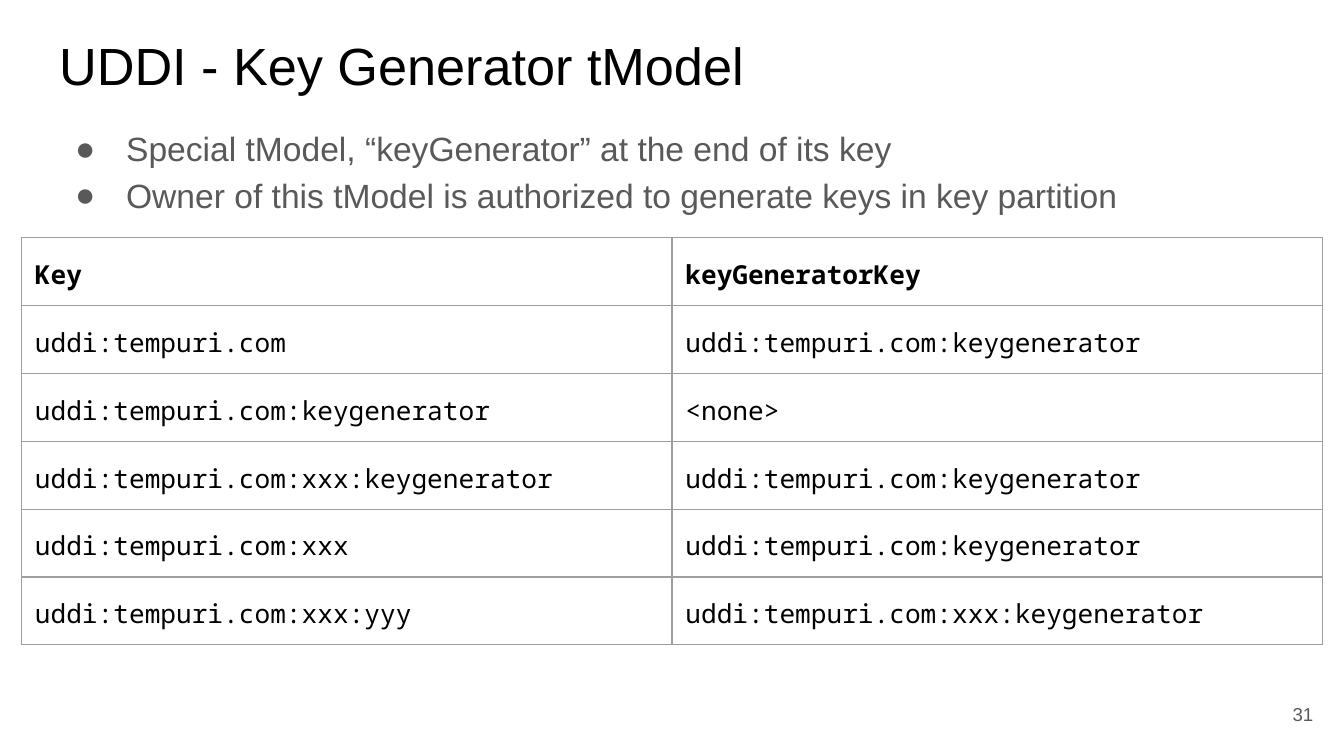
from dataclasses import dataclass

from lxml import etree
from pptx import Presentation
from pptx.dml.color import RGBColor
from pptx.enum.text import MSO_ANCHOR, MSO_AUTO_SIZE, PP_ALIGN
from pptx.oxml.ns import qn
from pptx.util import Inches, Pt

TOP, MIDDLE = MSO_ANCHOR.TOP, MSO_ANCHOR.MIDDLE
LEFT, RIGHT = PP_ALIGN.LEFT, PP_ALIGN.RIGHT
NO_FIT = MSO_AUTO_SIZE.NONE
TITLE_ONLY = 5


@dataclass(frozen=True)
class Theme:
    """Colours, fonts, type sizes and spacing of the deck."""
    background: str = "FFFFFF"
    ink: str = "000000"
    muted: str = "595959"
    border: str = "9E9E9E"
    sans: str = "Arial"
    mono: str = "Noto Sans Mono"
    title_size: int = 28
    body_size: int = 18
    table_size: int = 14
    number_size: int = 10
    border_width: float = 0.75
    line_spacing: float = 1.15
    inset: float = 0.1


THEME = Theme()
BULLETS = [
    "Special tModel, “keyGenerator” at the end of its key",
    "Owner of this tModel is authorized to generate keys in key partition",
]
KEY_ROWS = [
    ("Key", "keyGeneratorKey"),
    ("uddi:tempuri.com", "uddi:tempuri.com:keygenerator"),
    ("uddi:tempuri.com:keygenerator", "<none>"),
    ("uddi:tempuri.com:xxx:keygenerator", "uddi:tempuri.com:keygenerator"),
    ("uddi:tempuri.com:xxx", "uddi:tempuri.com:keygenerator"),
    ("uddi:tempuri.com:xxx:yyy", "uddi:tempuri.com:xxx:keygenerator"),
]


def write(para, text, *, size, color, font=THEME.sans, bold=False,
          align=LEFT, spacing=None, after=None):
    """Put one formatted span of text into a paragraph."""
    para.alignment = align
    if spacing is not None:
        para.line_spacing = spacing
    if after is not None:
        para.space_after = Pt(after)
    span = para.add_run()
    span.text = text
    span.font.name = font
    span.font.size = Pt(size)
    span.font.bold = bold
    span.font.color.rgb = RGBColor.from_string(color)


def set_frame(frame, anchor=TOP):
    """Give a text frame the common insets, wrapping and anchor."""
    frame.word_wrap = True
    frame.auto_size = NO_FIT
    frame.vertical_anchor = anchor
    frame.margin_left = frame.margin_right = Inches(THEME.inset)
    frame.margin_top = frame.margin_bottom = Inches(THEME.inset)


def add_bullet(para, color, indent=0.5, hanging=0.38):
    """Give a paragraph a round bullet with a hanging indent."""
    properties = para._p.get_or_add_pPr()
    properties.set("marL", str(Inches(indent)))
    properties.set("indent", str(-Inches(hanging)))
    bullet_color = etree.SubElement(properties, qn("a:buClr"))
    etree.SubElement(bullet_color, qn("a:srgbClr"), val=color)
    etree.SubElement(properties, qn("a:buFont"), typeface=THEME.sans)
    etree.SubElement(properties, qn("a:buChar"), char="●")


def set_borders(cell):
    """Draw a thin line on all four sides of a table cell."""
    properties = cell._tc.get_or_add_tcPr()
    for index, side in enumerate(("lnL", "lnR", "lnT", "lnB")):
        line = etree.Element(qn(f"a:{side}"), w=str(Pt(THEME.border_width)))
        fill = etree.SubElement(line, qn("a:solidFill"))
        etree.SubElement(fill, qn("a:srgbClr"), val=THEME.border)
        properties.insert(index, line)


def place_title(page, text, left, top, width, height):
    """Move the title placeholder into its box and fill it."""
    box = page.shapes.title
    box.left, box.top = Inches(left), Inches(top)
    box.width, box.height = Inches(width), Inches(height)
    set_frame(box.text_frame)
    write(box.text_frame.paragraphs[0], text,
          size=THEME.title_size, color=THEME.ink)


def place_bullets(page, items, left, top, width, height):
    """Write a bulleted list into a box."""
    box = page.shapes.add_textbox(
        Inches(left), Inches(top), Inches(width), Inches(height))
    frame = box.text_frame
    set_frame(frame)
    for index, item in enumerate(items):
        para = frame.add_paragraph() if index else frame.paragraphs[0]
        write(para, item, size=THEME.body_size, color=THEME.muted,
              spacing=THEME.line_spacing)
        add_bullet(para, THEME.muted)


def place_key_table(page, rows, left, top, width, row_height):
    """Build the bordered key table with a bold heading row."""
    table = page.shapes.add_table(
        len(rows), len(rows[0]), Inches(left), Inches(top),
        Inches(width), Inches(row_height * len(rows))).table
    table.horz_banding = False
    for row_index, values in enumerate(rows):
        for column_index, value in enumerate(values):
            cell = table.cell(row_index, column_index)
            cell.margin_left = cell.margin_right = Inches(THEME.inset)
            cell.margin_top = cell.margin_bottom = Inches(THEME.inset)
            cell.vertical_anchor = TOP
            cell.fill.background()
            set_borders(cell)
            write(cell.text_frame.paragraphs[0], value,
                  size=THEME.table_size, color=THEME.ink, font=THEME.mono,
                  bold=row_index == 0, spacing=THEME.line_spacing, after=6)


def place_page_number(page, number, left, top, width, height):
    """Write the page number at the right of its box."""
    box = page.shapes.add_textbox(
        Inches(left), Inches(top), Inches(width), Inches(height))
    set_frame(box.text_frame, MIDDLE)
    write(box.text_frame.paragraphs[0], str(number),
          size=THEME.number_size, color=THEME.muted, align=RIGHT)


def main():
    """Build and save the deck."""
    deck = Presentation()
    deck.slide_width = Inches(10)
    deck.slide_height = deck.slide_width * 9 // 16
    page = deck.slides.add_slide(deck.slide_layouts[TITLE_ONLY])
    page.background.fill.solid()
    page.background.fill.fore_color.rgb = RGBColor.from_string(THEME.background)
    place_title(page, "UDDI - Key Generator tModel", 0.34, 0.15, 9.32, 0.63)
    place_page_number(page, 31, 9.27, 5.1, 0.6, 0.43)
    place_key_table(page, KEY_ROWS, 0.16, 1.77, 9.68, 0.39)
    place_bullets(page, BULLETS, 0.34, 0.81, 9.32, 0.97)
    deck.save("out.pptx")


if __name__ == "__main__":
    main()
